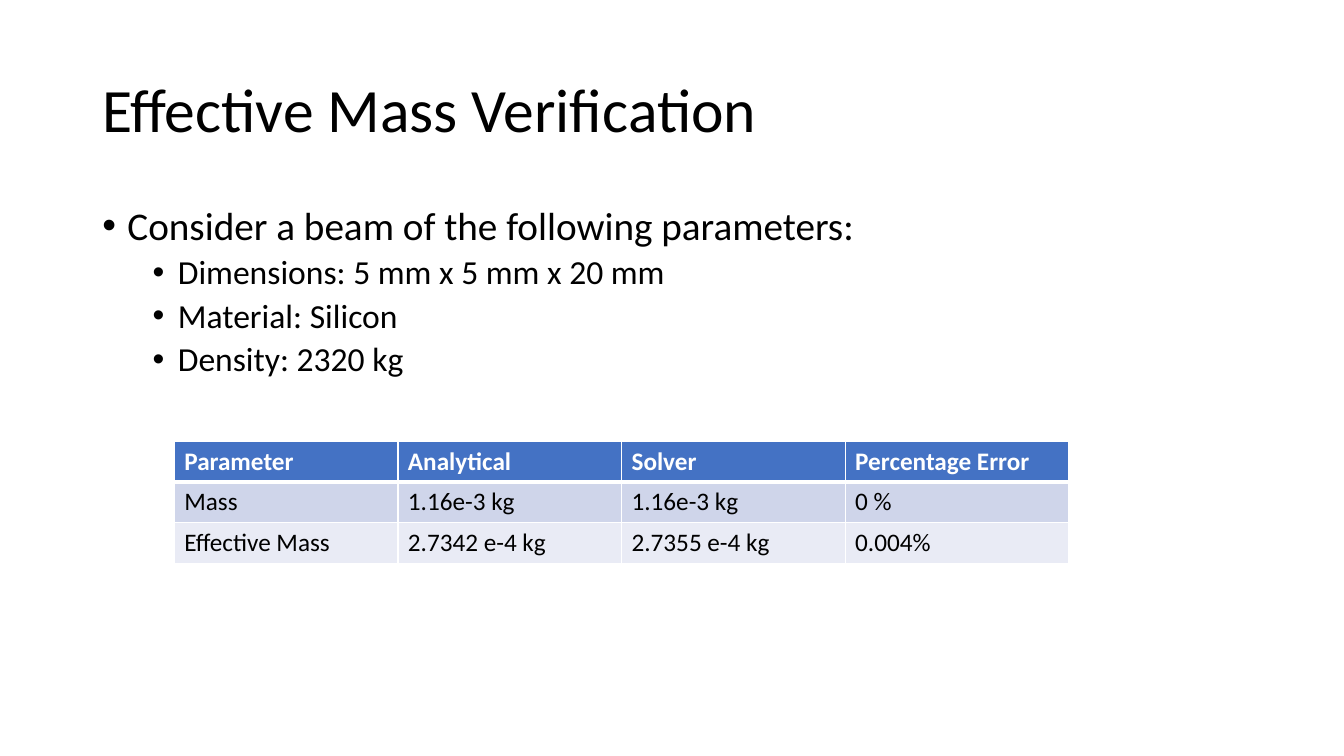
from lxml import etree
from pptx import Presentation
from pptx.dml.color import RGBColor
from pptx.enum.text import MSO_ANCHOR
from pptx.oxml.ns import qn
from pptx.util import Pt

MIDDLE = MSO_ANCHOR.MIDDLE
TOP = MSO_ANCHOR.TOP
BLACK = RGBColor(0x00, 0x00, 0x00)
WHITE = RGBColor(0xFF, 0xFF, 0xFF)
HEADER_BLUE = RGBColor(0x44, 0x72, 0xC4)
BAND_FILLS = [RGBColor(0xCF, 0xD5, 0xEA), RGBColor(0xE9, 0xEB, 0xF5)]

BEAM_PARAMETERS = [
    (0, "Consider a beam of the following parameters:"),
    (1, "Dimensions: 5 mm x 5 mm x 20 mm"),
    (1, "Material: Silicon"),
    (1, "Density: 2320 kg"),
]
MASS_RESULTS = [
    ["Parameter", "Analytical", "Solver", "Percentage Error"],
    ["Mass", "1.16e-3 kg", "1.16e-3 kg", "0 %"],
    ["Effective Mass", "2.7342 e-4 kg", "2.7355 e-4 kg", "0.004%"],
]


class SlideBuilder:
    font_name = "Calibri"
    scale = 9525

    def __init__(self, presentation):
        presentation.slide_width = self.px(1280)
        presentation.slide_height = self.px(720)
        self.slide = presentation.slides.add_slide(presentation.slide_layouts[6])

    def px(self, length):
        return length * self.scale

    def style(self, paragraph, size, color=BLACK, bold=False):
        font = paragraph.font
        font.name = self.font_name
        font.size = Pt(size)
        font.bold = bold
        font.color.rgb = color

    def text_frame(self, left, top, width, height, anchor):
        box = self.slide.shapes.add_textbox(*map(self.px, (left, top, width, height)))
        frame = box.text_frame
        frame.word_wrap = True
        frame.vertical_anchor = anchor
        return frame

    def title(self, text, left, top, width, height):
        paragraph = self.text_frame(left, top, width, height, MIDDLE).paragraphs[0]
        paragraph.text = text
        paragraph.line_spacing = 0.9
        self.style(paragraph, 44)

    def bullets(self, items, left, top, width, height):
        frame = self.text_frame(left, top, width, height, TOP)
        for index, (level, text) in enumerate(items):
            paragraph = frame.add_paragraph() if index else frame.paragraphs[0]
            paragraph.text = text
            paragraph.level = level
            paragraph.line_spacing = 0.9
            paragraph.space_before = Pt(5 if index else 0)
            properties = paragraph._p.get_or_add_pPr()
            properties.set("marL", str(self.px(24 + 48 * level)))
            properties.set("indent", str(self.px(-24)))
            etree.SubElement(properties, qn("a:buFont"), typeface="Arial")
            etree.SubElement(properties, qn("a:buChar"), char="•")
            self.style(paragraph, 28 - 4 * level)

    def borders(self, cell, top, bottom):
        properties = cell._tc.get_or_add_tcPr()
        for side, width in (("L", 1), ("R", 1), ("T", top), ("B", bottom)):
            line = etree.SubElement(properties, qn(f"a:ln{side}"), w=str(Pt(width)))
            fill = etree.SubElement(line, qn("a:solidFill"))
            etree.SubElement(fill, qn("a:srgbClr"), val=str(WHITE))

    def table(self, rows, left, top, column_width, row_height):
        column_count = len(rows[0])
        table = self.slide.shapes.add_table(
            len(rows), column_count, self.px(left), self.px(top),
            self.px(column_width * column_count), self.px(row_height * len(rows)),
        ).table
        for row_index, row in enumerate(rows):
            header = row_index == 0
            table.rows[row_index].height = self.px(row_height)
            for column_index, text in enumerate(row):
                cell = table.cell(row_index, column_index)
                cell.text = text
                self.style(cell.text_frame.paragraphs[0], 18, WHITE if header else BLACK, header)
                self.borders(cell, 3 if row_index == 1 else 1, 3 if header else 1)
                cell.fill.solid()
                cell.fill.fore_color.rgb = HEADER_BLUE if header else BAND_FILLS[(row_index - 1) % 2]


def main():
    presentation = Presentation()
    builder = SlideBuilder(presentation)
    builder.title("Effective Mass Verification", 88, 38, 1104, 139)
    builder.bullets(BEAM_PARAMETERS, 88, 192, 1104, 457)
    builder.table(MASS_RESULTS, 166, 420, 213, 39)
    presentation.save("out.pptx")


if __name__ == "__main__":
    main()
